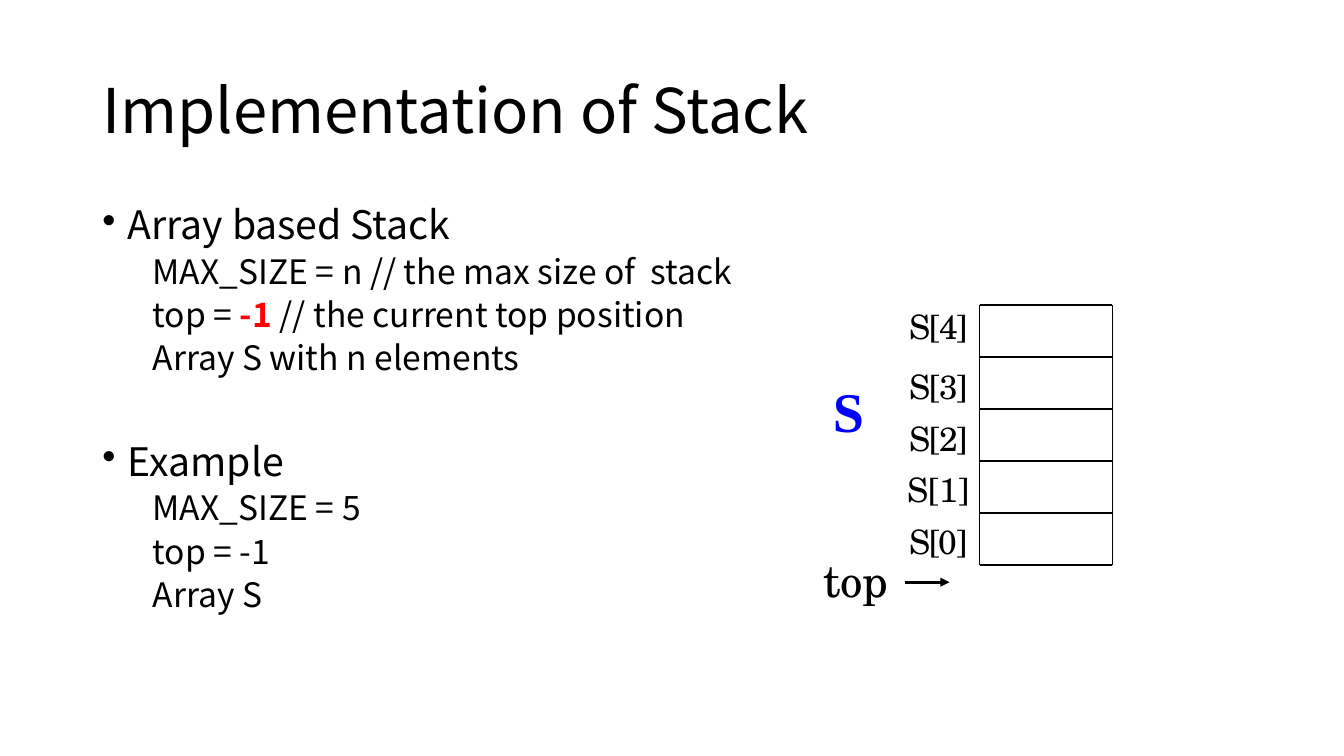
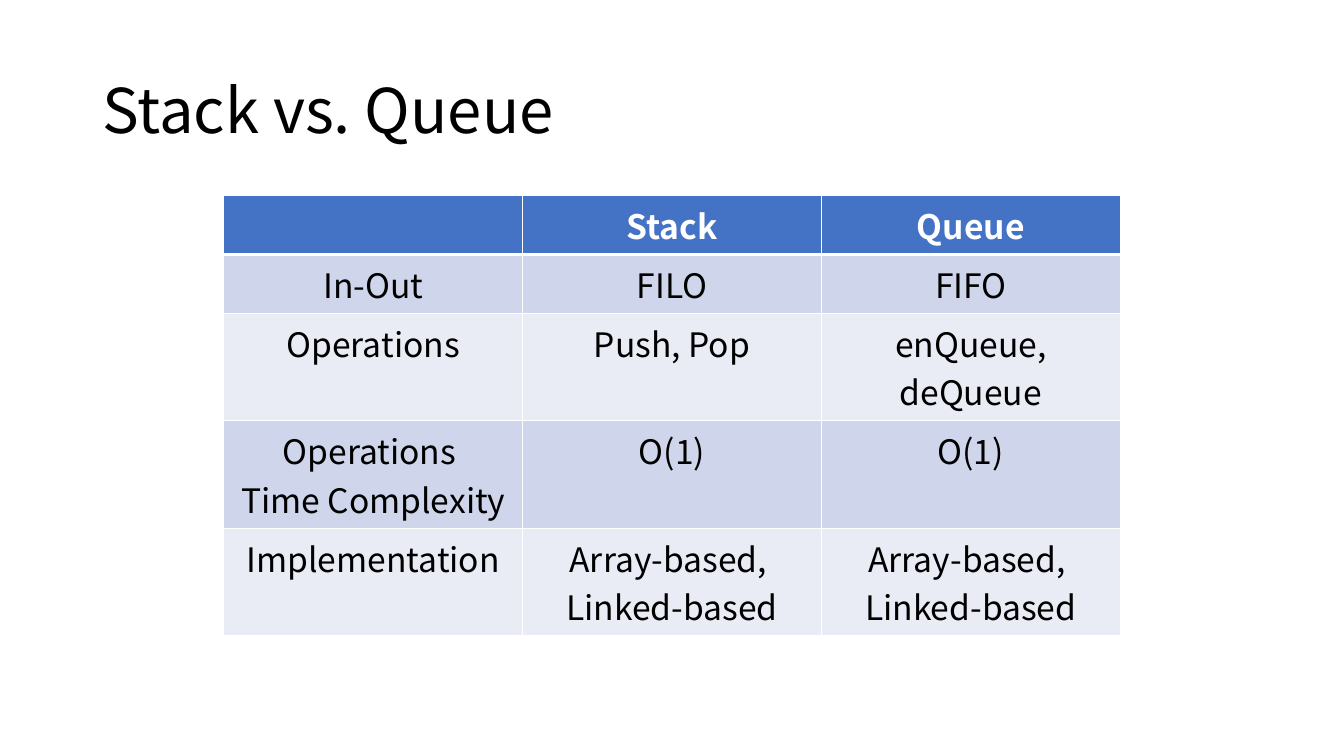
"""Build two slides on stacks: an array implementation and a comparison with queues."""
from lxml import etree
from pptx import Presentation
from pptx.dml.color import RGBColor
from pptx.enum.shapes import MSO_CONNECTOR
from pptx.enum.text import MSO_ANCHOR, PP_ALIGN
from pptx.oxml.ns import qn
from pptx.util import Cm, Pt

STRAIGHT = MSO_CONNECTOR.STRAIGHT
TOP, MIDDLE = MSO_ANCHOR.TOP, MSO_ANCHOR.MIDDLE
LEFT, CENTER = PP_ALIGN.LEFT, PP_ALIGN.CENTER

BLACK, WHITE, RED, BLUE = "000000", "FFFFFF", "FF0000", "0000FF"
HEADER, BANDS = "4472C4", ("CFD5EA", "E9EBF5")
SANS, SCHOOL, TIMES = "Noto Sans CJK SC", "TeX Gyre Schola", "Times New Roman"
INSETS = (0.25, 0.13, 0.25, 0.13)


def color(code):
    """Turn a hex string into a colour."""
    return RGBColor.from_string(code)


def add_span(para, text, size, font=SANS, code=BLACK, bold=False, spacing=0):
    """Add one styled run; spacing is in hundredths of a point."""
    span = para.add_run()
    span.text = text
    span.font.size = Pt(size)
    span.font.name = font
    span.font.bold = bold
    span.font.color.rgb = color(code)
    if spacing:
        span.font._element.set("spc", str(spacing))


def style_para(para, align=LEFT, before=0, line=1.0):
    """Set the alignment and spacing of a paragraph."""
    para.alignment = align
    para.space_before = Pt(before)
    para.line_spacing = line


def indent(para, left, hanging=0, bullet=None):
    """Indent a paragraph and give it a bullet if one is named."""
    props = para._p.get_or_add_pPr()
    props.set("marL", str(Cm(left)))
    props.set("indent", str(-Cm(hanging)))
    if bullet:
        etree.SubElement(props, qn("a:buChar")).set("char", bullet)


def add_box(page, left, top, width, height, insets=INSETS, anchor=TOP):
    """Add a wrapping text box and return its text frame."""
    box = page.shapes.add_textbox(Cm(left), Cm(top), Cm(width), Cm(height))
    frame = box.text_frame
    frame.word_wrap = True
    frame.vertical_anchor = anchor
    frame.margin_left, frame.margin_top, frame.margin_right, frame.margin_bottom = map(Cm, insets)
    return frame


def add_page(deck, title):
    """Add a blank page with the shared title style."""
    page = deck.slides.add_slide(deck.slide_layouts[6])
    para = add_box(page, 2.33, 1.02, 29.21, 3.68, anchor=MIDDLE).paragraphs[0]
    style_para(para, line=0.9)
    add_span(para, title, 44)
    return page


def add_outline(page, left, top, width, height, sections):
    """Add bulleted headings, each with lines made of styled pieces."""
    frame = add_box(page, left, top, width, height)
    para = frame.paragraphs[0]
    for number, (heading, lines) in enumerate(sections):
        if number:
            para = frame.add_paragraph()
        style_para(para, before=46 if number else 10, line=0.9)
        indent(para, 0.64, 0.64, "•")
        add_span(para, heading, 28)
        for pieces in lines:
            para = frame.add_paragraph()
            style_para(para, before=5, line=0.9)
            indent(para, 1.27)
            for text, style in pieces:
                add_span(para, text, 24, **style)


def add_line(page, start, end, width=1, arrow=False):
    """Draw a black line, with an arrowhead at its end if wanted."""
    line = page.shapes.add_connector(STRAIGHT, *map(Cm, start + end))
    line.line.color.rgb = color(BLACK)
    line.line.width = Pt(width)
    if arrow:
        etree.SubElement(line.line._get_or_add_ln(), qn("a:tailEnd")).set("type", "triangle")
    etree.SubElement(line._element.spPr, qn("a:effectLst"))


def add_array(page, left, top, width, pitch, count):
    """Draw a column of empty array cells."""
    right, bottom = left + width, top + count * pitch
    for row in range(count + 1):
        level = top + row * pitch
        add_line(page, (left, level), (right, level))
    for side in (left, right):
        add_line(page, (side, top), (side, bottom))


def add_grid(page, left, top, widths, heights):
    """Add a table with the given column widths and row heights."""
    frame = page.shapes.add_table(len(heights), len(widths), Cm(left), Cm(top),
                                  Cm(sum(widths)), Cm(sum(heights)))
    grid = frame.table
    for column, width in zip(grid.columns, widths):
        column.width = Cm(width)
    for row, height in zip(grid.rows, heights):
        row.height = Cm(height)
    grid.first_row = grid.horz_banding = False
    return grid


def style_cell(cell, fill=None, border=None, bottom=1):
    """Set the fill and the borders of a cell; None leaves them clear."""
    props = cell._tc.get_or_add_tcPr()
    for side in "LRTB":
        edge = etree.SubElement(props, qn(f"a:ln{side}"))
        if border:
            edge.set("w", str(Pt(bottom if side == "B" else 1)))
            paint = etree.SubElement(edge, qn("a:solidFill"))
            etree.SubElement(paint, qn("a:srgbClr")).set("val", border)
        else:
            etree.SubElement(edge, qn("a:noFill"))
    if fill:
        cell.fill.solid()
        cell.fill.fore_color.rgb = color(fill)
    else:
        cell.fill.background()


def add_index_labels(page, left, top, width, labels):
    """Add the column of array index labels."""
    heights = [1.14 if row in (0, len(labels) - 1) else 1.3 for row in range(len(labels))]
    grid = add_grid(page, left, top, [width], heights)
    for row, (label, spacing) in enumerate(labels):
        cell = grid.cell(row, 0)
        style_cell(cell)
        cell.margin_left = cell.margin_right = cell.margin_bottom = 0
        cell.margin_top = Cm(0.1 if row else 0)
        para = cell.text_frame.paragraphs[0]
        style_para(para, CENTER, 3.2 if row else 0, 1.0 if row else Pt(27.6))
        add_span(para, label, 24, SCHOOL, spacing=spacing)


def add_comparison(page, left, top, column, heights, rows):
    """Add a banded table with a header row."""
    grid = add_grid(page, left, top, [column] * len(rows[0]), heights)
    grid.first_row = True
    for row, texts in enumerate(rows):
        header = row == 0
        for index, text in enumerate(texts):
            cell = grid.cell(row, index)
            style_cell(cell, HEADER if header else BANDS[(row - 1) % 2], WHITE, 3 if header else 1)
            if not text:
                continue
            frame = cell.text_frame
            for number, line in enumerate(text.split("\n")):
                para = frame.add_paragraph() if number else frame.paragraphs[0]
                style_para(para, CENTER)
                add_span(para, line, 24, code=WHITE if header else BLACK, bold=header)


def build_stack_page(deck):
    """Show the array based stack."""
    page = add_page(deck, "Implementation of Stack")
    add_outline(page, 2.33, 5.06, 16.74, 12.09, [
        ("Array based Stack", [
            [("MAX_SIZE = n // the max size of  stack", {})],
            [("top = ", {}), ("-1 ", {"code": RED, "bold": True}),
             ("// the current top position", {})],
            [("Array S with n elements", {})],
        ]),
        ("Example", [
            [("MAX_SIZE = 5", {})],
            [("top = -1", {})],
            [("Array S", {})],
        ]),
    ])
    add_array(page, 24.69, 7.69, 3.34, 1.31, 5)
    add_index_labels(page, 22.56, 7.87, 2.18, [
        ("S[4]", -80), ("S[3]", -80), ("S[2]", -80), ("S[1]", 0), ("S[0]", -110)])
    tight = (0, 0.03, 0, 0)
    name = add_box(page, 20.96, 9.45, 0.86, 1.75, tight).paragraphs[0]
    style_para(name, before=0.9)
    indent(name, 0.03)
    add_span(name, "S", 40, TIMES, BLUE, True, -10)
    pointer = add_box(page, 20.73, 13.89, 1.68, 1.42, tight).paragraphs[0]
    style_para(pointer, before=1)
    indent(pointer, 0.03)
    add_span(pointer, "top", 32, SCHOOL, spacing=-40)
    add_line(page, (22.81, 14.67), (23.93, 14.67), 2.2, arrow=True)


def build_comparison_page(deck):
    """Compare stack and queue."""
    page = add_page(deck, "Stack vs. Queue")
    storage = "Array-based, \nLinked-based"
    add_comparison(page, 5.64, 4.93, 7.53, [1.48, 1.48, 2.71, 2.71, 2.71], [
        ("", "Stack", "Queue"),
        ("In-Out", "FILO", "FIFO"),
        ("Operations", "Push, Pop", "enQueue, deQueue"),
        ("Operations \nTime Complexity", "O(1)", "O(1)"),
        ("Implementation", storage, storage),
    ])


def main():
    """Build and save the deck."""
    deck = Presentation()
    deck.slide_width, deck.slide_height = Cm(33.87), Cm(19.05)
    build_stack_page(deck)
    build_comparison_page(deck)
    deck.save("out.pptx")


if __name__ == "__main__":
    main()
